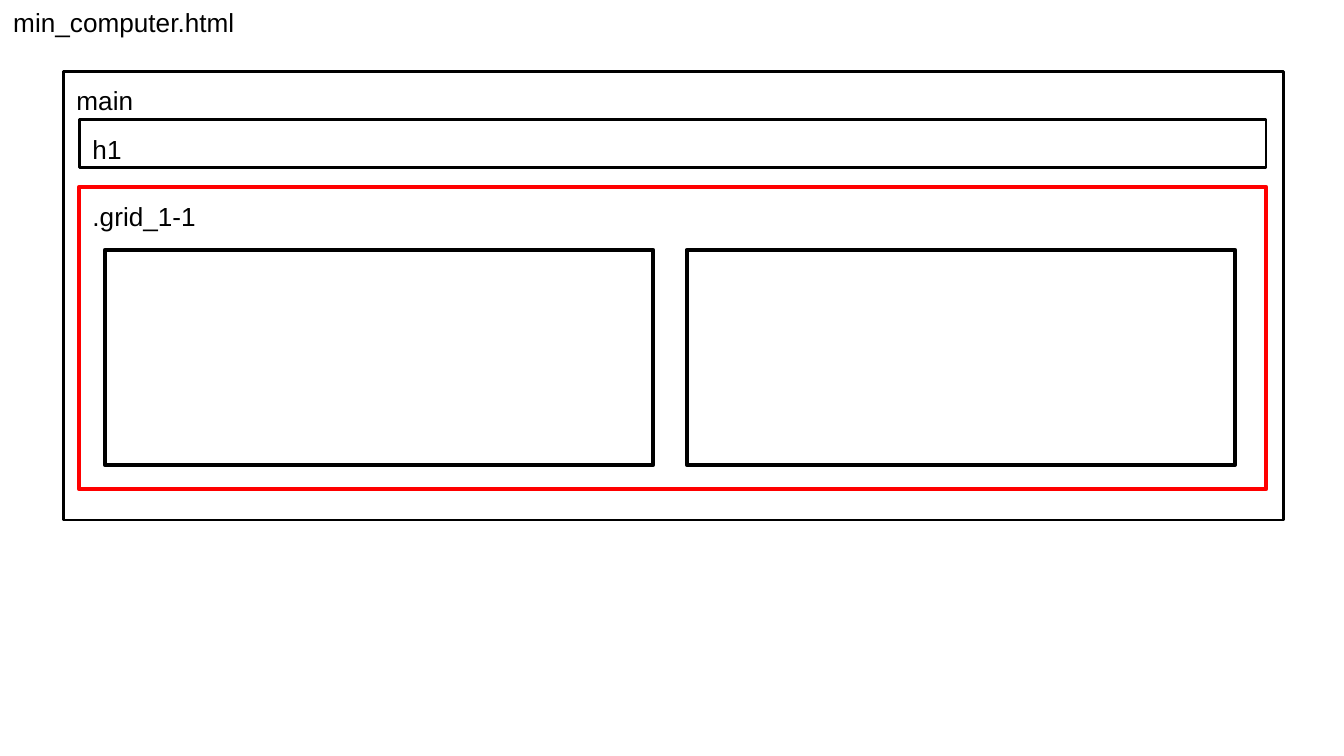
from dataclasses import dataclass

from pptx import Presentation
from pptx.dml.color import RGBColor
from pptx.enum.shapes import MSO_SHAPE as Shape
from pptx.enum.text import MSO_ANCHOR as Anchor, PP_ALIGN as Align
from pptx.util import Inches, Pt


@dataclass(frozen=True)
class Theme:
    font: str = "Arial"
    size: float = 14
    ink: RGBColor = RGBColor(0, 0, 0)
    accent: RGBColor = RGBColor(255, 0, 0)
    thin: float = 1.5
    thick: float = 2.25


THEME = Theme()


def write(frame, text, *, inset=0.1, size=THEME.size, color=THEME.ink):
    """Put one left-aligned label at the top of a text frame."""
    frame.word_wrap = True
    frame.vertical_anchor = Anchor.TOP
    frame.margin_left = frame.margin_right = Inches(0.1)
    frame.margin_top = frame.margin_bottom = Inches(inset)
    paragraph = frame.paragraphs[0]
    paragraph.alignment = Align.LEFT
    run = paragraph.add_run()
    run.text = text
    run.font.name = THEME.font
    run.font.size = Pt(size)
    run.font.color.rgb = color


def add_frame(slide, box, label=None, *, color=THEME.ink, weight=THEME.thin):
    """Draw an outlined element box, labelled with its tag or class."""
    element = slide.shapes.add_shape(Shape.RECTANGLE, *map(Inches, box))
    element.shadow.inherit = False
    element.fill.background()
    element.line.color.rgb = color
    element.line.width = Pt(weight)
    if label:
        write(element.text_frame, label)


def add_file_name(slide, box):
    heading = slide.shapes.add_textbox(*map(Inches, box))
    write(heading.text_frame, "min_computer.html", inset=0.05)


def add_grid(slide, box, columns=2):
    """Red grid container with equal columns."""
    left, top, width, height = box
    add_frame(slide, box, ".grid_1-1", color=THEME.accent, weight=THEME.thick)
    column_width, gap = 4.08, 0.25
    for column in range(columns):
        x = left + 0.19 + column * (column_width + gap)
        add_frame(slide, (x, top + 0.47, column_width, height - 0.65),
                  weight=THEME.thick)


def add_main(slide, box):
    """Main element holding the heading and the grid."""
    left, top, width, height = box
    add_frame(slide, box, "main")
    inner_left, inner_width = left + 0.12, width - 0.25
    add_frame(slide, (inner_left, top + 0.36, inner_width, 0.36), "h1")
    add_grid(slide, (inner_left, top + 0.86, inner_width, height - 1.09))


def main():
    deck = Presentation()
    # Widescreen, 16:9
    deck.slide_width = Inches(10)
    deck.slide_height = Inches(10 * 9 / 16)
    slide = deck.slides.add_slide(deck.slide_layouts[6])
    # Page structure
    add_main(slide, (0.47, 0.53, 9.08, 3.34))
    # File name
    add_file_name(slide, (0, 0, 2.02, 0.34))
    deck.save("out.pptx")


if __name__ == "__main__":
    main()
